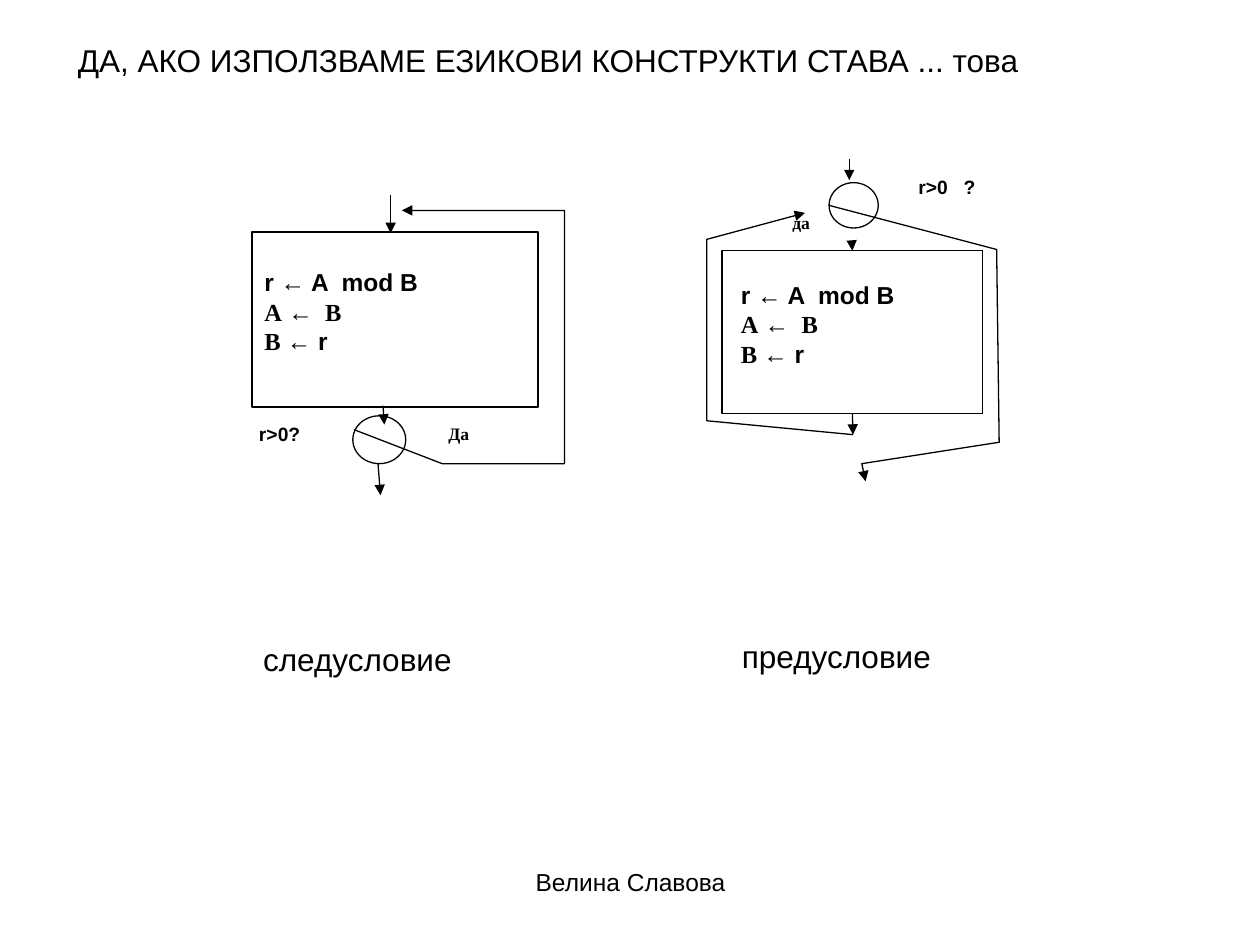
import pptx
import pptx.util
import pptx.dml.color
import pptx.enum.shapes
import pptx.enum.text
import pptx.oxml.ns
import lxml.etree

Inches = pptx.util.Inches
Pt = pptx.util.Pt
BLACK = pptx.dml.color.RGBColor(0x00, 0x00, 0x00)
WHITE = pptx.dml.color.RGBColor(0xFF, 0xFF, 0xFF)
LEFT = pptx.enum.text.PP_ALIGN.LEFT
CENTER = pptx.enum.text.PP_ALIGN.CENTER
SANS, SERIF = "Arial", "Times New Roman"
qn = pptx.oxml.ns.qn

presentation = pptx.Presentation()
presentation.slide_width = Inches(10)
presentation.slide_height = Inches(7.5)
slide = presentation.slides.add_slide(presentation.slide_layouts[6])
shapes = slide.shapes


def style_arrow(shape):
    """Thin black line with a triangle at its end and no shadow."""
    shape.line.color.rgb = BLACK
    shape.line.width = Pt(0.75)
    line = shape.line._get_or_add_ln()
    lxml.etree.SubElement(line, qn("a:tailEnd"), type="triangle")
    properties = shape._element.spPr
    if properties.find(qn("a:effectLst")) is None:
        lxml.etree.SubElement(properties, qn("a:effectLst"))


def add_label(text, left, top, width, height, size, font=SANS, bold=False,
              alignment=LEFT, wrap=True):
    """One-line text box."""
    label = shapes.add_textbox(Inches(left), Inches(top), Inches(width), Inches(height))
    label.text_frame.word_wrap = wrap
    label.text_frame.text = text
    paragraph = label.text_frame.paragraphs[0]
    paragraph.alignment = alignment
    for run in paragraph.runs:
        run.font.size = Pt(size)
        run.font.name = font
        run.font.bold = bold
        run.font.color.rgb = BLACK
    return label


# Loop bodies and condition circles: post-condition left, pre-condition right
RECTANGLE = pptx.enum.shapes.MSO_SHAPE.RECTANGLE
OVAL = pptx.enum.shapes.MSO_SHAPE.OVAL
outlines = []
for kind, left, top, width, height in [
    (OVAL, 2.8, 3.3, 0.42, 0.38),
    (OVAL, 6.58, 1.45, 0.39, 0.36),
    (RECTANGLE, 2, 1.84, 2.27, 1.39),
    (RECTANGLE, 5.73, 1.99, 2.07, 1.29),
]:
    shape = shapes.add_shape(kind, Inches(left), Inches(top), Inches(width), Inches(height))
    shape.shadow.inherit = False
    shape.fill.solid()
    shape.fill.fore_color.rgb = WHITE
    shape.line.color.rgb = BLACK
    shape.line.width = Pt(0.75)
    outlines.append(shape)
post_body, pre_body = outlines[2:]

# Steps of the algorithm, the same in both bodies
steps = [
    [("r ← A  mod B", SANS)],
    [("А ", SERIF), ("←", SANS), ("  В", SERIF)],
    [("В ", SERIF), ("← r", SANS)],
]
for body, margin_left, margin_top in [(post_body, 0.1, 0.28), (pre_body, 0.15, 0.23)]:
    text_frame = body.text_frame
    text_frame.word_wrap = True
    text_frame.vertical_anchor = pptx.enum.text.MSO_ANCHOR.TOP
    text_frame.margin_left = Inches(margin_left)
    text_frame.margin_top = Inches(margin_top)
    for index, step in enumerate(steps):
        paragraph = text_frame.add_paragraph() if index else text_frame.paragraphs[0]
        paragraph.alignment = LEFT
        for text, font in step:
            run = paragraph.add_run()
            run.text = text
            run.font.name = font
            run.font.size = Pt(14)
            run.font.bold = True
            run.font.color.rgb = BLACK

# Straight arrows, joined to a body where they meet the middle of its side
for start, end, start_body, end_body in [
    ((3.1, 1.55), (3.1, 1.85), None, None),
    ((3.04, 3.22), (3.05, 3.37), None, None),
    ((3, 3.68), (3.02, 3.93), None, None),
    ((6.74, 1.26), (6.74, 1.43), None, None),
    ((6.76, 1.92), (6.76, 1.99), None, pre_body),
    ((6.77, 3.28), (6.77, 3.45), pre_body, None),
]:
    arrow = shapes.add_connector(
        pptx.enum.shapes.MSO_CONNECTOR.STRAIGHT,
        *[Inches(value) for value in start + end])
    if start_body:
        arrow.begin_connect(start_body, 2)
    if end_body:
        arrow.end_connect(end_body, 0)
    style_arrow(arrow)

# Bent arrows: repeat of the left loop, repeat and exit of the right loop
for points in [
    [(2.81, 3.41), (3.51, 3.68), (4.48, 3.68), (4.48, 1.67), (3.19, 1.67)],
    [(6.77, 3.45), (5.61, 3.34), (5.61, 1.9), (6.39, 1.69)],
    [(6.58, 1.63), (7.91, 1.98), (7.93, 3.51), (6.84, 3.68), (6.87, 3.82)],
]:
    corners = [(Inches(x), Inches(y)) for x, y in points]
    builder = shapes.build_freeform(*corners[0])
    builder.add_line_segments(corners[1:], close=False)
    route = builder.convert_to_shape()
    route.fill.background()
    route.shadow.inherit = False
    style_arrow(route)

# Conditions and branch labels
add_label("r>0?", 1.75, 3.3, 0.94, 0.38, 11, bold=True, alignment=CENTER)
add_label("Да", 3.46, 3.31, 0.8, 0.39, 10, SERIF, bold=True)
add_label("да", 6.19, 1.63, 0.79, 0.51, 10, SERIF, bold=True)
condition = add_label("r>0\t?", 7.19, 1.34, 0.95, 0.36, 11, bold=True)
tab_stops = lxml.etree.SubElement(
    condition.text_frame.paragraphs[0]._p.get_or_add_pPr(), qn("a:tabLst"))
lxml.etree.SubElement(tab_stops, qn("a:tab"), pos=str(Inches(0.36)), algn="l")

# Title, captions and author
add_label("ДА, АКО ИЗПОЛЗВАМЕ ЕЗИКОВИ КОНСТРУКТИ СТАВА ... това",
          0.52, 0.28, 7.73, 0.4, 18, wrap=False)
add_label("следусловие", 1.99, 5.03, 1.7, 0.4, 18, wrap=False)
add_label("предусловие", 5.79, 5.01, 1.7, 0.4, 18, wrap=False)
add_label("Велина Славова", 3.42, 6.83, 3.17, 0.52, 14, alignment=CENTER)

presentation.save("out.pptx")
